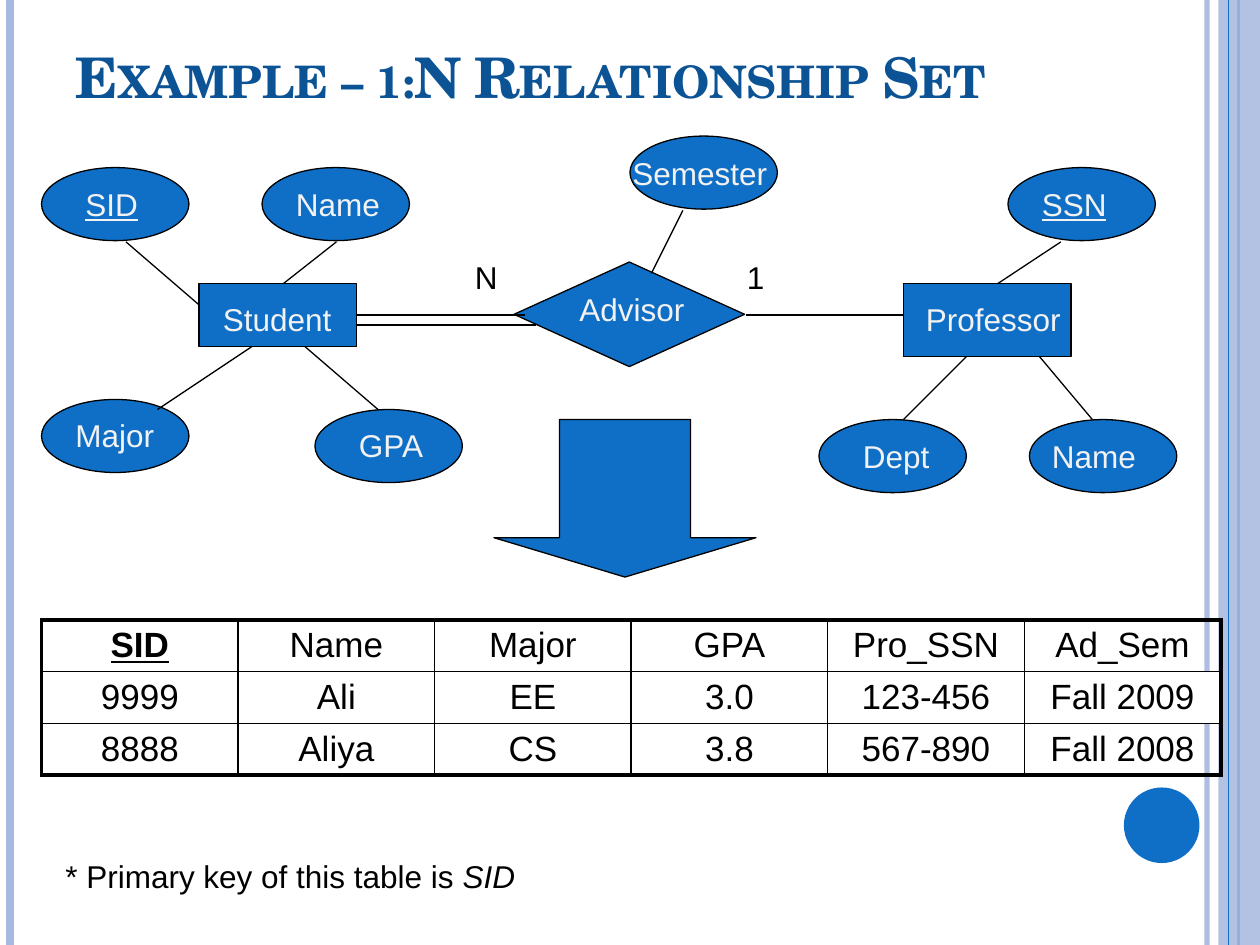
from dataclasses import dataclass

from lxml.etree import SubElement
from pptx import Presentation
from pptx.dml.color import RGBColor
from pptx.enum.shapes import MSO_CONNECTOR, MSO_SHAPE
from pptx.enum.text import MSO_ANCHOR, MSO_AUTO_SIZE, PP_ALIGN
from pptx.oxml.ns import qn
from pptx.util import Inches, Pt


@dataclass(frozen=True)
class Theme:
    """Colours, fonts and sizes of the slide."""

    blue: str = "0F6FC6"
    pale: str = "A8B9DF"
    title: str = "0B5394"
    light: str = "F2F2F2"
    black: str = "000000"
    white: str = "FFFFFF"
    heading_font: str = "TeX Gyre Schola"
    body_font: str = "Arial"
    title_size: float = 32
    table_size: float = 20
    label_size: float = 18
    thin: float = 0.75
    grid: float = 1
    frame: float = 2.25


THEME = Theme()
OVAL_SIZE = (1.17, 0.58)
OVALS = [
    (2.08, 1.33), (0.33, 1.33), (0.33, 3.17), (2.5, 3.25),
    (8, 1.33), (5, 1.08), (8.17, 3.33), (6.5, 3.33),
]
NODES = [
    (MSO_SHAPE.RECTANGLE, (1.58, 2.25, 1.25, 0.5)),
    (MSO_SHAPE.FLOWCHART_DECISION, (4.08, 2.08, 1.83, 0.83)),
    (MSO_SHAPE.RECTANGLE, (7.17, 2.25, 1.33, 0.58)),
    (MSO_SHAPE.DOWN_ARROW, (3.92, 3.33, 2.08, 1.25)),
]
LINKS = [
    (1, 1.92, 1.58, 2.42), (2.67, 1.92, 2.25, 2.25),
    (3, 3.25, 2.42, 2.75), (1.25, 3.25, 2, 2.75),
    (8.42, 1.92, 7.92, 2.25), (5.92, 2.5, 7.17, 2.5),
    (5.17, 2.17, 5.42, 1.67), (8.25, 2.83, 8.67, 3.33),
    (4.17, 2.5, 2.83, 2.5), (7.67, 2.83, 7.17, 3.33),
    (2.83, 2.58, 4.25, 2.58),
]
KEY = {"underline": True}
DARK = {"color": THEME.black}
LABELS = [
    ("Student", 1.67, 2.33, 1.08, {}), ("SID", 0.58, 1.42, 0.83, KEY),
    ("Name", 2.25, 1.42, 0.92, {}), ("Major", 0.5, 3.25, 0.83, {}),
    ("GPA", 2.75, 3.33, 0.75, {}), ("SSN", 8.17, 1.42, 1.25, KEY),
    ("Professor", 7.25, 2.33, 1.42, {}), ("Semester", 4.92, 1.17, 1.42, {}),
    ("Name", 8.25, 3.42, 0.92, {}), ("N", 3.67, 2, 0.5, DARK),
    ("Dept", 6.75, 3.42, 0.75, {}), ("Advisor", 4.5, 2.25, 1.42, {}),
    ("1", 5.83, 2, 0.5, DARK),
]
ROWS = [
    ["SID", "Name", "Major", "GPA", "Pro_SSN", "Ad_Sem"],
    ["9999", "Ali", "EE", "3.0", "123-456", "Fall 2009"],
    ["8888", "Aliya", "CS", "3.8", "567-890", "Fall 2008"],
]


def inches(values):
    """Turn plain numbers into lengths."""
    return [Inches(value) for value in values]


def set_alpha(shape, percent):
    """Make the colours of a shape partly transparent."""
    for color in shape._element.spPr.iter(qn("a:srgbClr")):
        SubElement(color, qn("a:alpha"), val=str(percent * 1000))


def add_run(paragraph, text, color, size=THEME.label_size, font=THEME.body_font, **format_values):
    """Append a formatted run to a paragraph."""
    run = paragraph.add_run()
    run.text = text
    run.font.color.rgb = RGBColor.from_string(color)
    values = {"name": font, "size": Pt(size), **format_values}
    for name, value in values.items():
        setattr(run.font, name, value)
    return run


def add_node(slide, kind, box, fill=THEME.blue, outlined=True):
    """Draw a flat filled shape."""
    shape = slide.shapes.add_shape(kind, *inches(box))
    shape.shadow.inherit = False
    shape.fill.solid()
    shape.fill.fore_color.rgb = RGBColor.from_string(fill)
    if outlined:
        shape.line.color.rgb = RGBColor.from_string(THEME.black)
        shape.line.width = Pt(THEME.thin)
    else:
        shape.line.fill.background()
    return shape


def add_line(slide, ends, color=THEME.black, width=THEME.thin):
    """Draw a straight line without a shadow."""
    line = slide.shapes.add_connector(MSO_CONNECTOR.STRAIGHT, *inches(ends))
    line.line.color.rgb = RGBColor.from_string(color)
    line.line.width = Pt(width)
    SubElement(line._element.spPr, qn("a:effectLst"))
    return line


def add_label(slide, left, top, width):
    """Add a one-line text box and return its paragraph."""
    frame = slide.shapes.add_textbox(*inches((left, top, width, 0.4))).text_frame
    frame.word_wrap = True
    frame.auto_size = MSO_AUTO_SIZE.SHAPE_TO_FIT_TEXT
    return frame.paragraphs[0]


def add_title(slide, text):
    """Place the title in small capitals."""
    title = slide.shapes.title
    box = inches((0.5, 0.42, 9, 0.5))
    for name, value in zip(("left", "top", "width", "height"), box):
        setattr(title, name, value)
    title.text_frame.vertical_anchor = MSO_ANCHOR.BOTTOM
    title.text_frame.auto_size = MSO_AUTO_SIZE.NONE
    paragraph = title.text_frame.paragraphs[0]
    paragraph.alignment = PP_ALIGN.LEFT
    run = add_run(paragraph, text, THEME.title, THEME.title_size, THEME.heading_font, bold=True)
    run._r.get_or_add_rPr().set("cap", "small")


def add_side_bars(slide):
    """Draw the vertical bars and the circle at the slide edges."""
    set_alpha(add_line(slide, (9.58, 0, 9.58, 7.5), THEME.pale, 3), 93)
    add_line(slide, (0.08, 0, 0.08, 7.5), THEME.pale, 4.5)
    add_line(slide, (9.83, 0, 9.83, 7.5), THEME.blue, 1.5)
    band = add_node(slide, MSO_SHAPE.RECTANGLE, (9.67, 0, 0.33, 7.5), THEME.pale, False)
    set_alpha(band, 87)
    add_line(slide, (9.75, 0, 9.75, 7.5), THEME.blue, THEME.thin)
    add_node(slide, MSO_SHAPE.OVAL, (8.92, 6.25, 0.6, 0.6), outlined=False)


def set_borders(cell, outer_sides):
    """Draw cell borders, thicker on the sides that frame the table."""
    properties = cell._tc.get_or_add_tcPr()
    for index, side in enumerate("LRTB"):
        width = THEME.frame if side in outer_sides else THEME.grid
        border = SubElement(properties, qn(f"a:ln{side}"), w=str(Pt(width)))
        fill = SubElement(border, qn("a:solidFill"))
        SubElement(fill, qn("a:srgbClr"), val=THEME.black)
        properties.insert(index, border)


def add_relation_table(slide):
    """Build the table that results from the relationship."""
    last_row, last_column = len(ROWS) - 1, len(ROWS[0]) - 1
    box = inches((0.33, 4.92, 9.36, 1.23))
    table = slide.shapes.add_table(last_row + 1, last_column + 1, *box).table
    table.first_row = table.horz_banding = False
    for row, texts in enumerate(ROWS):
        for column, text in enumerate(texts):
            cell = table.cell(row, column)
            if row == 1:
                cell.fill.solid()
                cell.fill.fore_color.rgb = RGBColor.from_string(THEME.white)
            else:
                cell.fill.background()
            edges = {"L": column == 0, "R": column == last_column, "T": row == 0, "B": row == last_row}
            set_borders(cell, [side for side, outer in edges.items() if outer])
            paragraph = cell.text_frame.paragraphs[0]
            paragraph.alignment = PP_ALIGN.CENTER
            is_key = row == column == 0
            add_run(paragraph, text, THEME.black, THEME.table_size, bold=is_key, underline=is_key)


def main():
    """Build the slide and save it."""
    presentation = Presentation()
    presentation.slide_width, presentation.slide_height = inches((10, 7.5))
    slide = presentation.slides.add_slide(presentation.slide_layouts[5])
    add_title(slide, "Example – 1:N Relationship Set")
    add_side_bars(slide)
    add_relation_table(slide)
    for kind, box in NODES + [(MSO_SHAPE.OVAL, place + OVAL_SIZE) for place in OVALS]:
        shape = add_node(slide, kind, box)
        if kind == MSO_SHAPE.DOWN_ARROW:
            shape.adjustments[0], shape.adjustments[1] = 0.5, 0.25
    for ends in LINKS:
        add_line(slide, ends)
    for text, left, top, width, format_values in LABELS:
        add_run(add_label(slide, left, top, width), text, **{"color": THEME.light, **format_values})
    note = add_label(slide, 0.42, 6.75, 9.08)
    add_run(note, "* Primary key of this table is ", THEME.black)
    add_run(note, "SID", THEME.black, italic=True)
    presentation.save("out.pptx")


if __name__ == "__main__":
    main()
